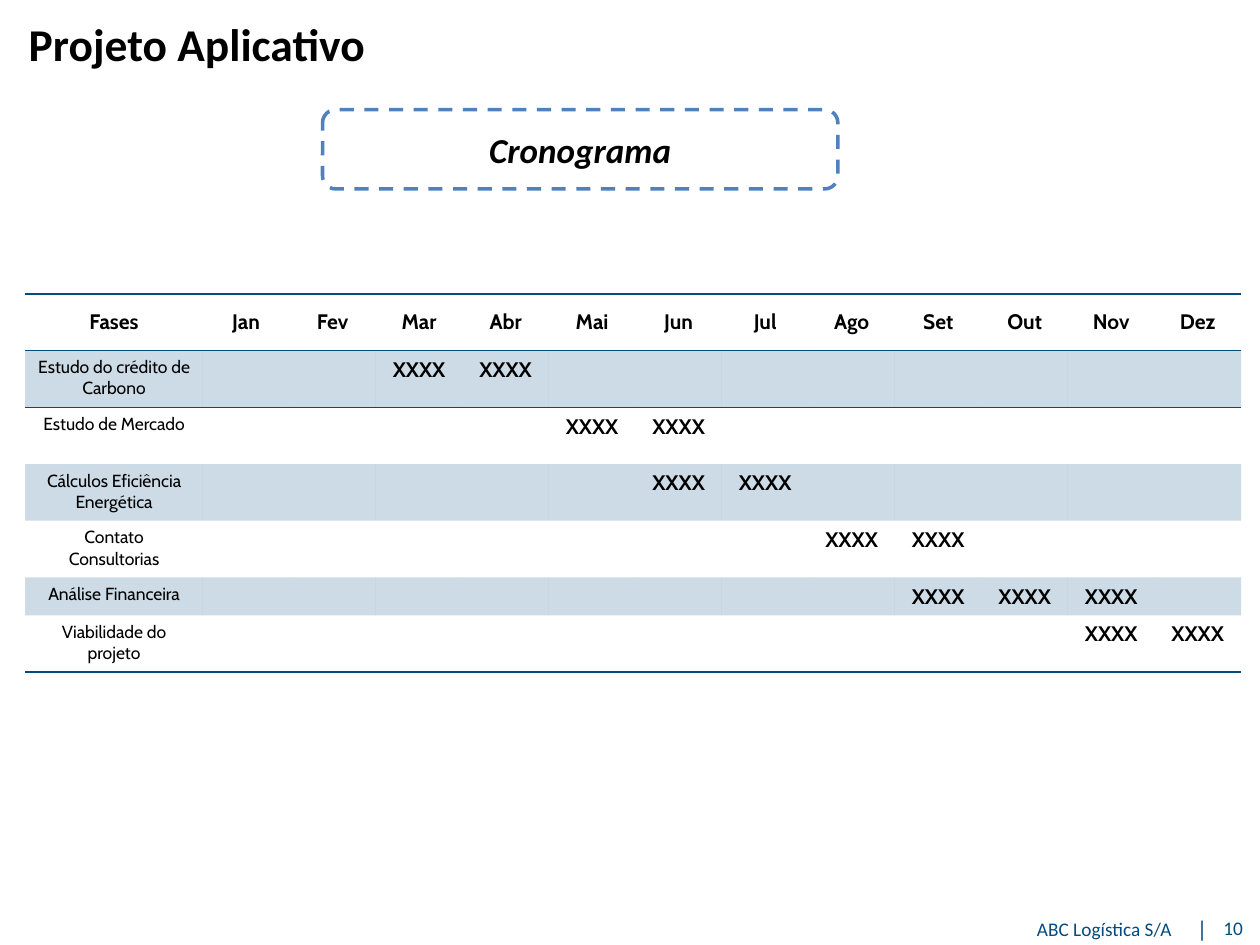
from lxml import etree
from pptx import Presentation
from pptx import util as u
from pptx.dml.color import RGBColor
from pptx.enum import dml, shapes, text
from pptx.oxml.ns import qn

COLORS = {"navy": "004B7F", "blue": "4F81BD", "black": "000000", "white": "FFFFFF"}
NO_GRID_STYLE = "{2D5ABB26-0587-4C30-8999-92F81FD0307C}"
WIDTH, HEIGHT = 10, 7.5

MONTHS = "Jan Fev Mar Abr Mai Jun Jul Ago Set Out Nov Dez".split()
# Phase, active months, row height
PHASES = [
    ("Estudo do crédito de Carbono", ("Mar", "Abr"), 0.45),
    ("Estudo de Mercado", ("Mai", "Jun"), 0.45),
    ("Cálculos Eficiência Energética", ("Jun", "Jul"), 0.45),
    ("Contato Consultorias", ("Ago", "Set"), 0.45),
    ("Análise Financeira", ("Set", "Out", "Nov"), 0.29),
    ("Viabilidade do projeto", ("Nov", "Dez"), 0.45),
]


def rgb(name):
    return RGBColor.from_string(COLORS[name])


class Deck:
    """Holds the style and the current slide; boxes are shares of the slide."""

    def __init__(self):
        self.prs = Presentation()
        self.prs.slide_width, self.prs.slide_height = u.Inches(WIDTH), u.Inches(HEIGHT)
        self.s = self.prs.slides.add_slide(self.prs.slide_layouts[6])

    def box(self, x, y, w, h):
        sw, sh = self.prs.slide_width, self.prs.slide_height
        return [round(v) for v in (x * sw, y * sh, w * sw, h * sh)]

    def put_text(self, tf, words, size, color="black", font="Calibri",
                 bold=False, italic=False, align=text.PP_ALIGN.LEFT):
        p = tf.paragraphs[0]
        p.text, p.alignment = words, align
        f = p.font
        f.size, f.name, f.bold, f.italic = u.Pt(size), font, bold, italic
        f.color.rgb = rgb(color)

    def label(self, box, words, size, margins=True, middle=False, **style):
        tf = self.s.shapes.add_textbox(*self.box(*box)).text_frame
        tf.word_wrap = False
        if not margins:
            tf.margin_left = tf.margin_right = tf.margin_top = tf.margin_bottom = 0
        if middle:
            tf.vertical_anchor = text.MSO_ANCHOR.MIDDLE
        self.put_text(tf, words, size, **style)

    def dashed_box(self, box, words):
        sp = self.s.shapes.add_shape(shapes.MSO_SHAPE.ROUNDED_RECTANGLE, *self.box(*box))
        sp.shadow.inherit = False
        sp.fill.solid()
        sp.fill.fore_color.rgb = rgb("white")
        sp.line.color.rgb = rgb("blue")
        sp.line.width = u.Pt(2)
        sp.line.dash_style = dml.MSO_LINE.DASH
        sp.text_frame.vertical_anchor = text.MSO_ANCHOR.MIDDLE
        self.put_text(sp.text_frame, words, 20, bold=True, italic=True,
                      align=text.PP_ALIGN.CENTER)

    def border(self, cell, *sides):
        for side in sides:
            ln = etree.SubElement(cell._tc.get_or_add_tcPr(), qn(f"a:{side}"), w=str(u.Pt(1)))
            fill = etree.SubElement(ln, qn("a:solidFill"))
            etree.SubElement(fill, qn("a:srgbClr"), val=COLORS["navy"])

    def tint(self, cell, percent):
        cell.fill.solid()
        cell.fill.fore_color.rgb = rgb("navy")
        clr = cell._tc.tcPr.find(f"{qn('a:solidFill')}/{qn('a:srgbClr')}")
        etree.SubElement(clr, qn("a:alpha"), val=str(percent * 1000))

    def schedule(self, box, first_col, heights, rows):
        frame = self.s.shapes.add_table(len(rows), len(rows[0]), *self.box(*box))
        table = frame.table
        table.first_row = table.horz_banding = False
        table._tbl.tblPr.find(qn("a:tableStyleId")).text = NO_GRID_STYLE
        month_col = (box[2] * WIDTH - first_col) / (len(rows[0]) - 1)
        for c, col in enumerate(table.columns):
            col.width = u.Inches(month_col if c else first_col)
        for r, (height, row) in enumerate(zip(heights, rows)):
            table.rows[r].height = u.Inches(height)
            for c, words in enumerate(row):
                cell = table.cell(r, c)
                phase = r > 0 and c == 0
                size = 10 if phase else 12
                self.put_text(cell.text_frame, words, size, font="Cabin",
                              bold=not phase, align=text.PP_ALIGN.CENTER)
                if not words:  # keeps an empty cell from stretching its row
                    etree.SubElement(cell.text_frame.paragraphs[0]._p,
                                     qn("a:endParaRPr"), sz=str(size * 100))
                if r == 0:
                    cell.vertical_anchor = text.MSO_ANCHOR.MIDDLE
                    self.border(cell, "lnT", "lnB")
                elif r == 1:
                    self.border(cell, "lnT")
                elif r == len(rows) - 1:
                    self.border(cell, "lnB")
                if r % 2:
                    self.tint(cell, 20)
                else:
                    cell.fill.background()


def main():
    d = Deck()

    # Footer
    footer = dict(color="navy", margins=False)
    d.label((0.823, 0.97, 0.122, 0.025), "ABC Logística S/A", 11, middle=True, **footer)
    d.label((0.95, 0.967, 0.01, 0.03), "|", 13, middle=True, **footer)
    d.label((0.971, 0.97, 0.024, 0.023), "10", 11, **footer)

    # Title and heading
    d.label((0.013, 0.01, 0.29, 0.072), "Projeto Aplicativo", 26, bold=True)
    d.dashed_box((0.256, 0.116, 0.409, 0.084), "Cronograma")

    # Schedule
    rows = [["Fases", *MONTHS]]
    for name, active, _ in PHASES:
        rows.append([name, *("XXXX" if m in active else "" for m in MONTHS)])
    heights = [0.45, *(height for *_, height in PHASES)]
    d.schedule((0.02, 0.311, 0.965, 0.399), 1.41, heights, rows)

    d.prs.save("out.pptx")


if __name__ == "__main__":
    main()
